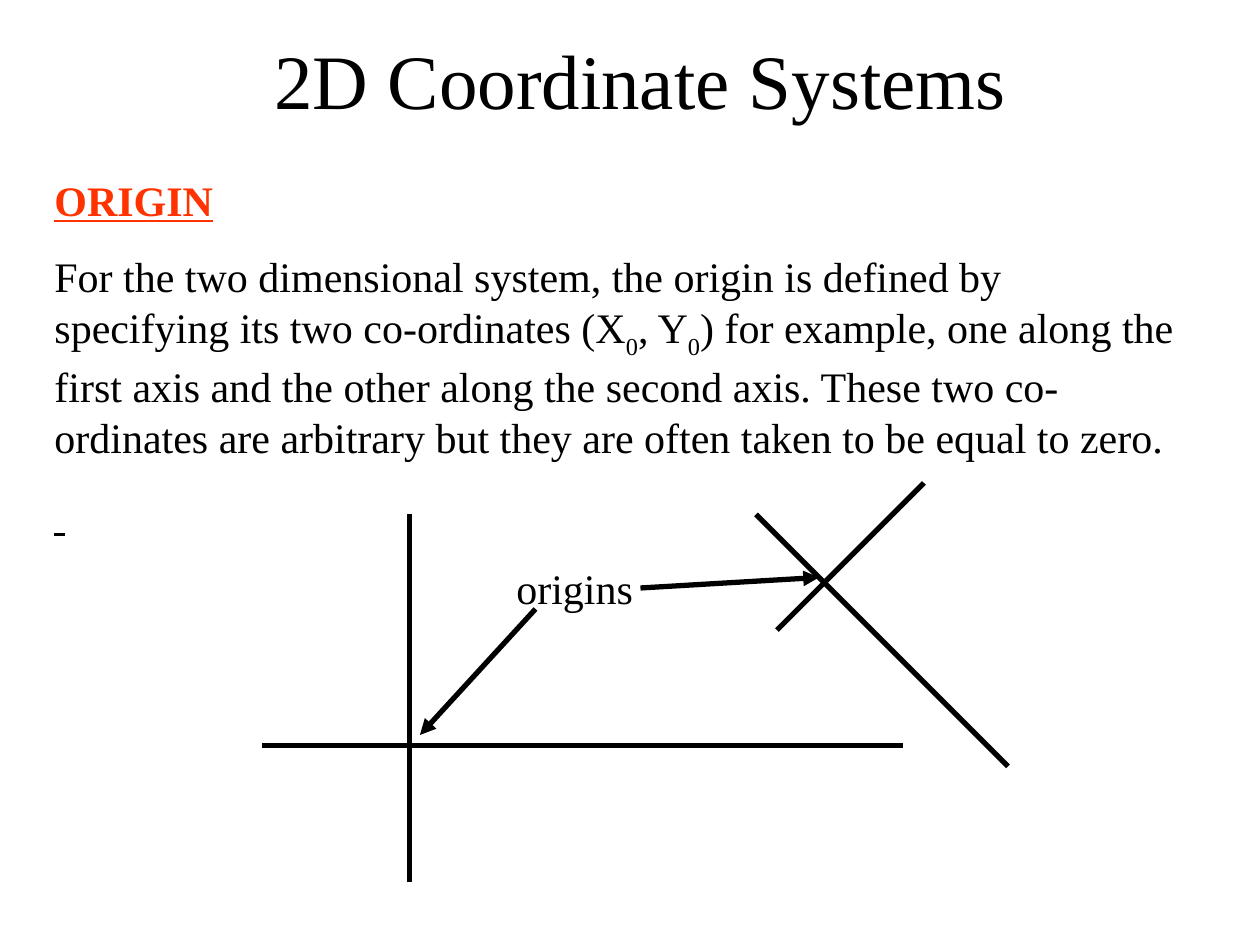
import dataclasses

import lxml.etree
import pptx
import pptx.dml.color
import pptx.enum.shapes
import pptx.enum.text
import pptx.oxml.ns
import pptx.util

SCALE = 7620


def px(n):
    return pptx.util.Emu(n * SCALE)


def add(node, tag, **attrs):
    return lxml.etree.SubElement(node, pptx.oxml.ns.qn(tag), **attrs)


@dataclasses.dataclass(frozen=True)
class Theme:
    font: str = "Times New Roman"
    ink: str = "000000"
    accent: str = "FF3300"
    title: int = 44
    body: int = 24
    gap: int = 15
    stroke: int = 3
    sub: int = -30000


@dataclasses.dataclass
class Page:
    slide: object
    theme: Theme

    def style(self, para, size, color):
        font = para.font
        font.name = self.theme.font
        font.size = pptx.util.Pt(size)
        font.color.rgb = pptx.dml.color.RGBColor.from_string(color)

    def title(self, text, box):
        shape = self.slide.shapes.title
        shape.left, shape.top, shape.width, shape.height = map(px, box)
        frame = shape.text_frame
        frame.text = text
        frame.word_wrap = True
        frame.auto_size = pptx.enum.text.MSO_AUTO_SIZE.NONE
        frame.vertical_anchor = pptx.enum.text.MSO_ANCHOR.MIDDLE
        para = frame.paragraphs[0]
        para.alignment = pptx.enum.text.PP_ALIGN.CENTER
        self.style(para, self.theme.title, self.theme.ink)

    def text(self, box):
        frame = self.slide.shapes.add_textbox(*map(px, box)).text_frame
        frame.word_wrap = True
        frame.auto_size = pptx.enum.text.MSO_AUTO_SIZE.SHAPE_TO_FIT_TEXT
        return frame

    def para(self, frame, parts, color=None, bold=False, under=False):
        para = frame.paragraphs[0]
        if para.runs:
            para = frame.add_paragraph()
        para.space_before = pptx.util.Pt(self.theme.gap)
        self.style(para, self.theme.body, color or self.theme.ink)
        para.font.bold = bold
        para.font.underline = under
        for i, part in enumerate(parts):
            run = para.add_run()
            run.text = part
            if i % 2:
                run.font._element.set("baseline", str(self.theme.sub))

    def line(self, start, end, arrow=False):
        kind = pptx.enum.shapes.MSO_CONNECTOR.STRAIGHT
        line = self.slide.shapes.add_connector(kind, *map(px, start + end))
        line.line.width = pptx.util.Pt(self.theme.stroke)
        rgb = pptx.dml.color.RGBColor.from_string(self.theme.ink)
        line.line.color.rgb = rgb
        props = line._element.spPr
        if arrow:
            add(props.find(pptx.oxml.ns.qn("a:ln")), "a:tailEnd", type="triangle")
        add(props, "a:effectLst")


def main():
    deck = pptx.Presentation()
    deck.slide_width, deck.slide_height = px(1200), px(900)
    theme = Theme()
    page = Page(deck.slides.add_slide(deck.slide_layouts[5]), theme)

    page.title("2D Coordinate Systems", (100, 0, 1020, 150))

    body = page.text((40, 160, 1100, 432))
    page.para(body, ["ORIGIN"], theme.accent, bold=True, under=True)
    page.para(body, [
        "For the two dimensional system, the origin is defined by "
        "specifying its two co-ordinates (X", "0", ", Y", "0",
        ") for example, one along the first axis and the other along the "
        "second axis. These two co-ordinates are arbitrary but they are "
        "often taken to be equal to zero.",
    ])
    page.para(body, [" "], under=True)

    axes = [
        ((390, 490), (390, 840)),
        ((250, 710), (860, 710)),
        ((880, 460), (740, 600)),
        ((720, 490), (960, 730)),
    ]
    for start, end in axes:
        page.line(start, end)

    page.para(page.text((480, 530, 190, 60)), ["origins"])
    page.line((510, 580), (400, 700), arrow=True)
    page.line((610, 560), (780, 550), arrow=True)

    deck.save("out.pptx")


if __name__ == "__main__":
    main()
